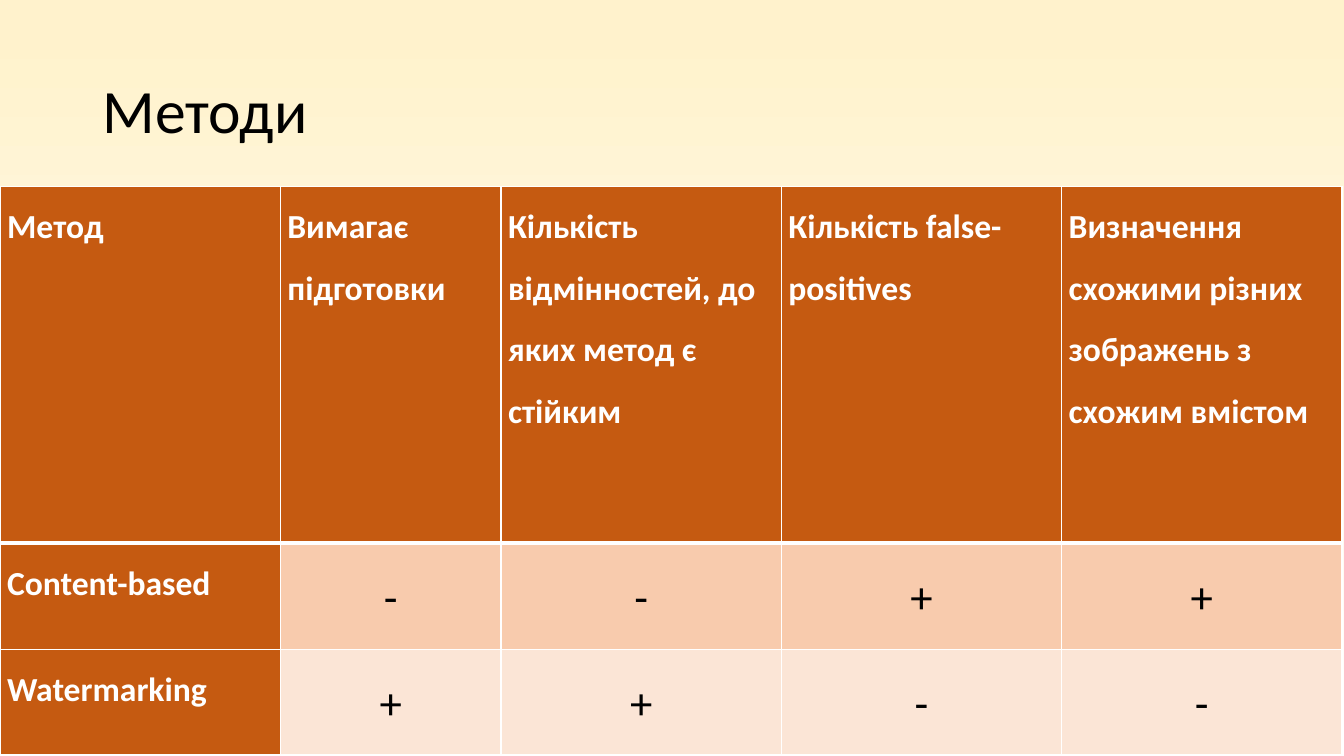
"""Build a slide comparing two image-matching methods in a table."""
from dataclasses import dataclass

import lxml.etree
import pptx
import pptx.dml.color
import pptx.enum.text
import pptx.oxml.ns
import pptx.util

Inches = pptx.util.Inches
Pt = pptx.util.Pt
qn = pptx.oxml.ns.qn


@dataclass(frozen=True)
class Theme:
    font: str = "Calibri"
    text: str = "000000"
    light: str = "FFFFFF"
    cream: str = "FFF2CC"
    header: str = "C55A11"
    bands: tuple = ("F8CBAD", "FBE5D6")
    title_size: int = 44
    label_size: int = 24
    mark_size: int = 32
    thin: int = 1
    thick: int = 3


THEME = Theme()
COLUMN_WIDTHS = (2.78, 2.19, 2.78, 2.78, 2.78)
ROW_HEIGHTS = (3.54, 1.05, 1.05)
METHODS = (
    ("Метод", "Вимагає підготовки", "Кількість відмінностей, до яких метод є стійким",
     "Кількість false-positives", "Визначення схожими різних зображень з схожим вмістом"),
    ("Content-based", "-", "-", "+", "+"),
    ("Watermarking", "+", "+", "-", "-"),
)


def rgb(value):
    return pptx.dml.color.RGBColor.from_string(value)


def style_paragraph(p, size, color, bold=False):
    p.font.name = THEME.font
    p.font.size = Pt(size)
    p.font.bold = bold
    p.font.color.rgb = rgb(color)


def set_background(slide):
    fill = slide.background.fill
    fill.gradient()
    fill.gradient_angle = 270
    stops = ((0.04, THEME.cream), (1, THEME.light))
    for stop, (position, color) in zip(fill.gradient_stops, stops):
        stop.position = position
        stop.color.rgb = rgb(color)


def add_title(slide, text):
    box = slide.shapes.add_textbox(Inches(0.92), Inches(0.4), Inches(11.5), Inches(1.45))
    tf = box.text_frame
    tf.word_wrap = True
    tf.vertical_anchor = pptx.enum.text.MSO_ANCHOR.MIDDLE
    p = tf.paragraphs[0]
    p.text = text
    p.line_spacing = 0.9
    style_paragraph(p, THEME.title_size, THEME.text)


def set_borders(cell, top, bottom):
    tc_pr = cell._tc.get_or_add_tcPr()
    widths = {"a:lnL": THEME.thin, "a:lnR": THEME.thin, "a:lnT": top, "a:lnB": bottom}
    for index, (tag, width) in enumerate(widths.items()):
        ln = lxml.etree.Element(qn(tag), w=str(Pt(width)))
        fill = lxml.etree.SubElement(ln, qn("a:solidFill"))
        lxml.etree.SubElement(fill, qn("a:srgbClr"), val=THEME.light)
        tc_pr.insert(index, ln)


def fill_cell(cell, text, row, column):
    is_label = row == 0 or column == 0
    cell.margin_left = cell.margin_right = Inches(0.07)
    cell.margin_top = cell.margin_bottom = 0
    cell.fill.solid()
    cell.fill.fore_color.rgb = rgb(THEME.header if is_label else THEME.bands[row - 1])
    set_borders(cell, top=THEME.thick if row == 1 else THEME.thin,
                bottom=THEME.thick if row == 0 else THEME.thin)
    p = cell.text_frame.paragraphs[0]
    p.text = text
    p.line_spacing = 1.5
    if is_label:
        style_paragraph(p, THEME.label_size, THEME.light, bold=True)
    else:
        p.alignment = pptx.enum.text.PP_ALIGN.CENTER
        style_paragraph(p, THEME.mark_size, THEME.text)


def add_methods_table(slide):
    frame = slide.shapes.add_table(
        len(ROW_HEIGHTS), len(COLUMN_WIDTHS), 0, Inches(1.85),
        Inches(sum(COLUMN_WIDTHS)), Inches(sum(ROW_HEIGHTS)))
    table = frame.table
    table.first_col = True
    for column, width in zip(table.columns, COLUMN_WIDTHS):
        column.width = Inches(width)
    for row, height in zip(table.rows, ROW_HEIGHTS):
        row.height = Inches(height)
    for i, texts in enumerate(METHODS):
        for j, text in enumerate(texts):
            fill_cell(table.cell(i, j), text, i, j)


def main():
    prs = pptx.Presentation()
    prs.slide_width, prs.slide_height = Inches(13.33), Inches(7.5)
    slide = prs.slides.add_slide(prs.slide_layouts[6])
    set_background(slide)
    add_title(slide, "Методи")
    add_methods_table(slide)
    prs.save("out.pptx")


if __name__ == "__main__":
    main()
